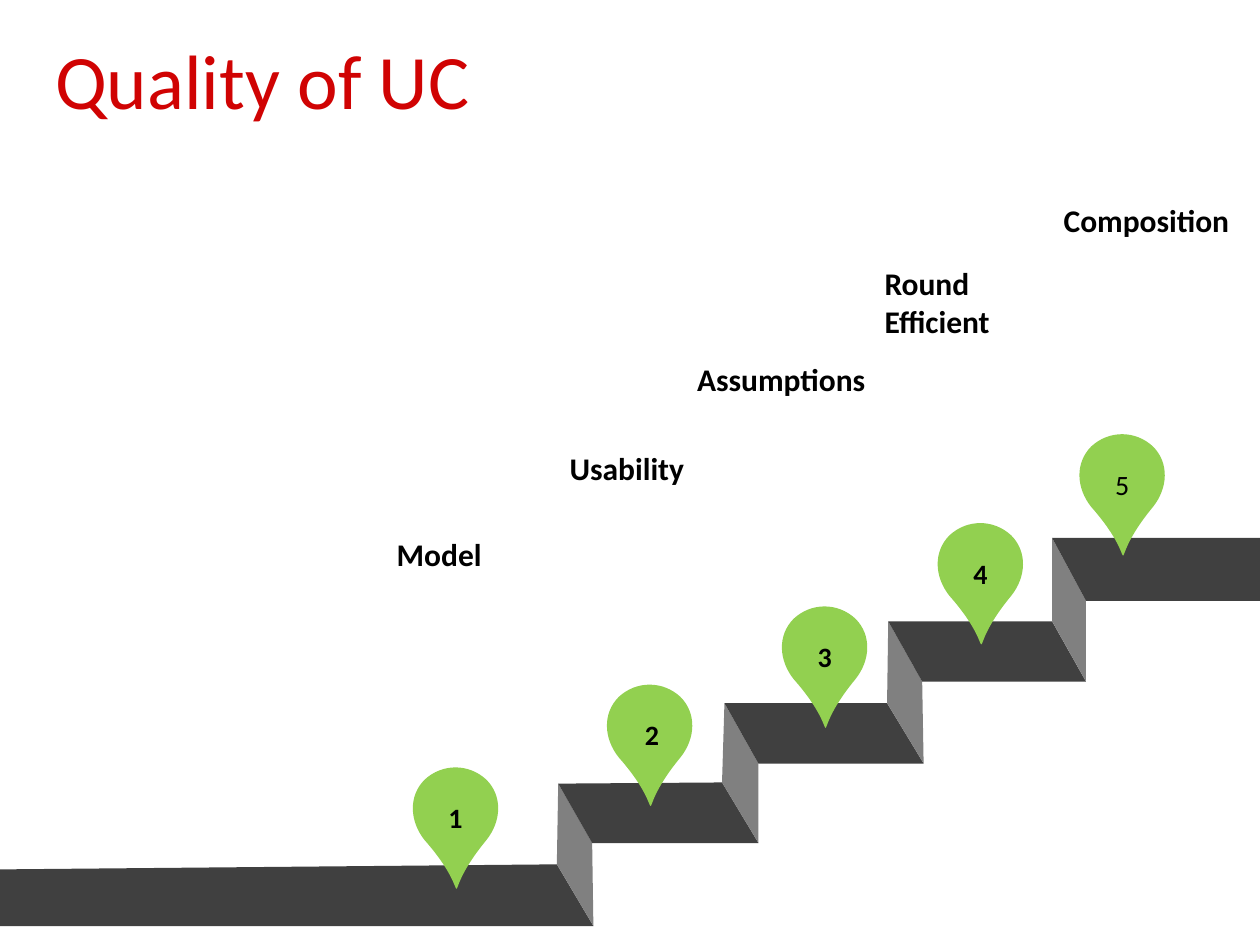
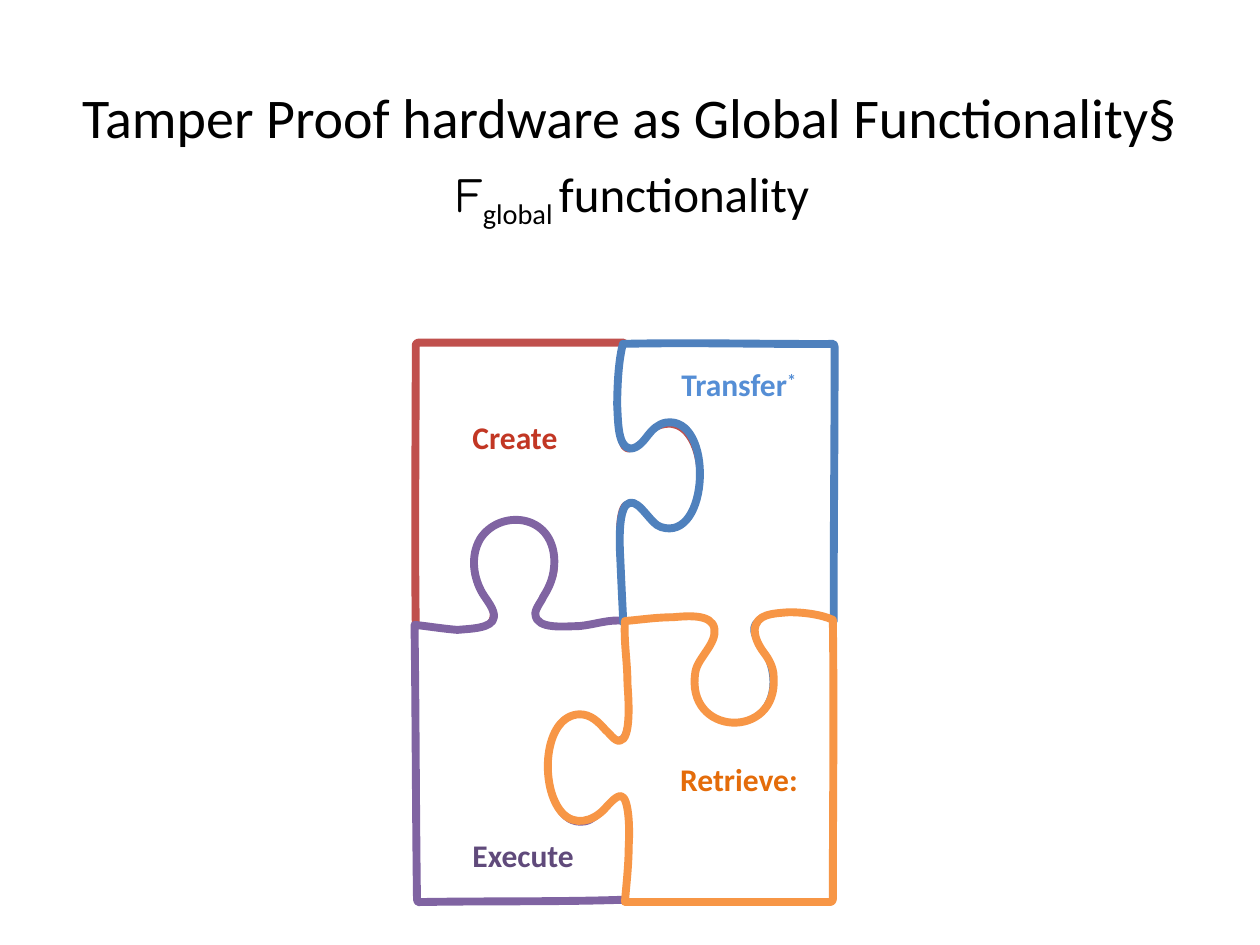
from math import cos, radians, sin

from pptx import Presentation
from pptx.dml.color import RGBColor
from pptx.enum.text import MSO_ANCHOR, PP_ALIGN
from pptx.oxml.ns import qn
from pptx.util import Pt

LEFT, CENTER = PP_ALIGN.LEFT, PP_ALIGN.CENTER
TOP, MIDDLE = MSO_ANCHOR.TOP, MSO_ANCHOR.MIDDLE

BLACK = RGBColor(0x00, 0x00, 0x00)
WHITE = RGBColor(0xFF, 0xFF, 0xFF)
RED = RGBColor(0xD0, 0x03, 0x03)
GREEN = RGBColor(0x92, 0xD0, 0x50)
TREAD = RGBColor(0x40, 0x40, 0x40)
RISER = RGBColor(0x80, 0x80, 0x80)
EDGE_RED = RGBColor(0xC0, 0x50, 0x4D)
EDGE_PLUM = RGBColor(0x80, 0x64, 0xA2)
EDGE_BLUE = RGBColor(0x4F, 0x81, 0xBD)
EDGE_GOLD = RGBColor(0xF7, 0x96, 0x46)
TEXT_RED = RGBColor(0xC2, 0x37, 0x24)
TEXT_PLUM = RGBColor(0x60, 0x4A, 0x7B)
TEXT_BLUE = RGBColor(0x55, 0x8E, 0xD5)
TEXT_GOLD = RGBColor(0xE4, 0x6C, 0x0A)

FONT, SCRIPT = "Calibri", "Comic Neue"
GRID = 0.72   # points per step of the curved outlines

# Corners of the stairs, from bottom to top
BACK = [(0, 496.8), (318.2, 493.9), (319, 447.8), (412.6, 447.1), (414, 401.8),
        (506.9, 401.8), (507.6, 355), (601.2, 355), (601.2, 307.4), (720, 307.4)]
FRONT = [(0, 529.2), (339.1, 529.2), (338.4, 481.7), (433.4, 481.7),
         (433.4, 436.3), (527.8, 436.3), (527, 389.5), (620.6, 389.5),
         (620.6, 343.4), (720, 343.4)]

# Curved outlines: a start point, then three control points per curve
PIN = [(13, 61), (58, 112), (19, 113), (62, 61), (74, 46), (75, 26), (62, 13),
       (48, 0), (27, 0), (13, 13), (0, 26), (1, 46), (13, 61)]
CREATE = [
    (3, 0), (57, 0), (113, 0), (166, 0), (165, 13), (163, 29), (163, 45),
    (162, 59), (163, 83), (169, 84), (173, 85), (180, 76), (183, 73),
    (192, 64), (206, 60), (216, 71), (234, 91), (231, 148), (202, 149),
    (193, 149), (187, 143), (181, 136), (179, 135), (174, 127), (170, 128),
    (161, 129), (163, 160), (164, 173), (164, 191), (167, 206), (166, 223),
    (154, 224), (141, 226), (128, 226), (117, 227), (97, 229), (95, 217),
    (93, 205), (108, 194), (110, 183), (119, 131), (44, 128), (48, 179),
    (48, 186), (52, 193), (55, 197), (58, 201), (63, 208), (63, 216),
    (62, 229), (48, 229), (36, 230), (23, 230), (10, 228), (1, 224),
    (0, 151), (1, 76), (1, 2), (1, 1), (2, 0), (3, 0)]
EXECUTE = [
    (2, 442), (1, 369), (1, 294), (0, 224), (10, 225), (22, 227), (34, 228),
    (44, 227), (62, 227), (63, 218), (64, 212), (57, 204), (54, 199),
    (47, 187), (44, 170), (52, 156), (67, 132), (110, 135), (111, 173),
    (111, 186), (107, 194), (102, 202), (101, 205), (95, 212), (96, 216),
    (97, 228), (120, 225), (130, 225), (143, 224), (155, 219), (167, 221),
    (168, 237), (169, 254), (170, 272), (171, 287), (172, 314), (163, 316),
    (155, 318), (146, 299), (138, 297), (99, 285), (97, 386), (135, 380),
    (141, 379), (146, 374), (149, 370), (152, 366), (157, 359), (163, 359),
    (173, 360), (173, 379), (174, 394), (174, 413), (173, 430), (170, 442),
    (115, 444), (59, 443), (3, 444), (3, 444), (2, 443), (2, 442)]


def add_text(slide, box, runs, align=LEFT, anchor=TOP):
    """Each run is (text, size, colour), then optionally bold, baseline, font."""
    area = slide.shapes.add_textbox(*(Pt(v) for v in box))
    frame = area.text_frame
    frame.word_wrap = True
    frame.vertical_anchor = anchor
    para = frame.paragraphs[0]
    para.alignment = align
    for text, size, color, *rest in runs:
        bold, shift, face = rest + [False, 0, FONT][len(rest):]
        run = para.add_run()
        run.text = text
        run.font.name = face
        run.font.size = Pt(size)
        run.font.bold = bold
        run.font.color.rgb = color
        if shift:
            run._r.get_or_add_rPr().set("baseline", str(shift * 1000))


def add_shape(slide, points, fill, line=None):
    spots = [(Pt(x), Pt(y)) for x, y in points]
    pen = slide.shapes.build_freeform(*spots[0], scale=1.0)
    pen.add_line_segments(spots[1:], close=True)
    shape = pen.convert_to_shape()
    shape.shadow.inherit = False
    shape.fill.solid()
    shape.fill.fore_color.rgb = fill
    if line is None:
        shape.line.fill.background()
    else:
        shape.line.color.rgb = line
        shape.line.width = Pt(4.5)
    return shape


def add_curve(slide, knots, left, top, fill, line=None):
    """Draw a closed outline, each three knots after the first being a curve."""
    points = [(left + x * GRID, top + y * GRID) for x, y in knots]
    shape = add_shape(slide, points, fill, line)
    legs = list(shape._element.iter(qn("a:lnTo")))
    for i in range(0, len(knots) - 1, 3):
        first, *others = legs[i:i + 3]
        first.tag = qn("a:cubicBezTo")
        for leg in others:
            first.append(leg[0])
            leg.getparent().remove(leg)


def turn(knots, hub, goal, angle):
    """Rotate knots about hub, then move hub to goal."""
    c, s = cos(radians(angle)), sin(radians(angle))
    arms = [(x - hub[0], y - hub[1]) for x, y in knots]
    return [(goal[0] + x * c - y * s, goal[1] + x * s + y * c) for x, y in arms]


def add_stairs(slide):
    for i in range(len(BACK) - 1):
        quad = [BACK[i], FRONT[i], FRONT[i + 1], BACK[i + 1]]
        add_shape(slide, quad, RISER if i % 2 else TREAD)


def add_pin(slide, left, top, number, bold, nudge):
    add_curve(slide, PIN, left, top, GREEN)
    add_text(slide, (left - 13.7 + nudge, top + 17.7, 81.4, 18),
             [(number, 16, BLACK, bold)], CENTER)


def add_puzzle(slide, left, top):
    pieces = [(CREATE, EDGE_RED), (EXECUTE, EDGE_PLUM),
              (turn(EXECUTE, (86.5, 288), (247, 156), 180.7), EDGE_BLUE),
              (turn(CREATE, (117, 115), (216, 329), 180), EDGE_GOLD)]
    for knots, edge in pieces:
        add_curve(slide, knots, left, top, WHITE, edge)
    labels = [(26, 39.6, "Create", TEXT_RED), (26, 278.2, "Execute", TEXT_PLUM),
              (144.7, 234.7, "Retrieve:", TEXT_GOLD)]
    for x, y, word, color in labels:
        add_text(slide, (left + x, top + y, 83, 29), [(word, 18, color, True)])
    add_text(slide, (left + 145.4, top + 9.4, 83.5, 29),
             [("Transfer", 18, TEXT_BLUE, True), ("*", 18, TEXT_BLUE, True, 30)])


def quality_slide(slide):
    add_stairs(slide)
    pins = [(233.3, 436.2, 0), (344.2, 388.9, 1.4), (444.2, 344.2, 0),
            (533.2, 296.6, 0), (614.2, 245.8, 0)]
    for n, (left, top, nudge) in enumerate(pins, 1):
        add_pin(slide, left, top, str(n), n < len(pins), nudge)
    labels = [(219.6, 302, 79, "Model"), (318.4, 253.1, 95, "Usability"),
              (391.2, 202, 112.5, "Assumptions"),
              (498.4, 147.3, 116, "Round Efficient"),
              (600.7, 111.3, 110, "Composition")]
    for left, top, width, word in labels:
        add_text(slide, (left, top, width, 35), [(word, 18, BLACK, True)])
    add_text(slide, (24.5, 15.1, 263, 60.5), [("Quality of UC", 44, RED)])


def hardware_slide(slide):
    add_puzzle(slide, 236.9, 195.8)
    add_text(slide, (82.8, 90, 556.6, 41),
             [("F", 28, BLACK, False, 0, SCRIPT),
              ("global ", 28, BLACK, False, -25),
              ("functionality", 28, BLACK)], CENTER)
    add_text(slide, (36, 21.6, 648, 90),
             [("Tamper Proof hardware as Global Functionality§", 32, BLACK)],
             CENTER, MIDDLE)


def main():
    deck = Presentation()
    deck.slide_width, deck.slide_height = Pt(720), Pt(540)
    blank = deck.slide_layouts[6]
    for build in (quality_slide, hardware_slide):
        build(deck.slides.add_slide(blank))
    deck.save("out.pptx")


if __name__ == "__main__":
    main()
